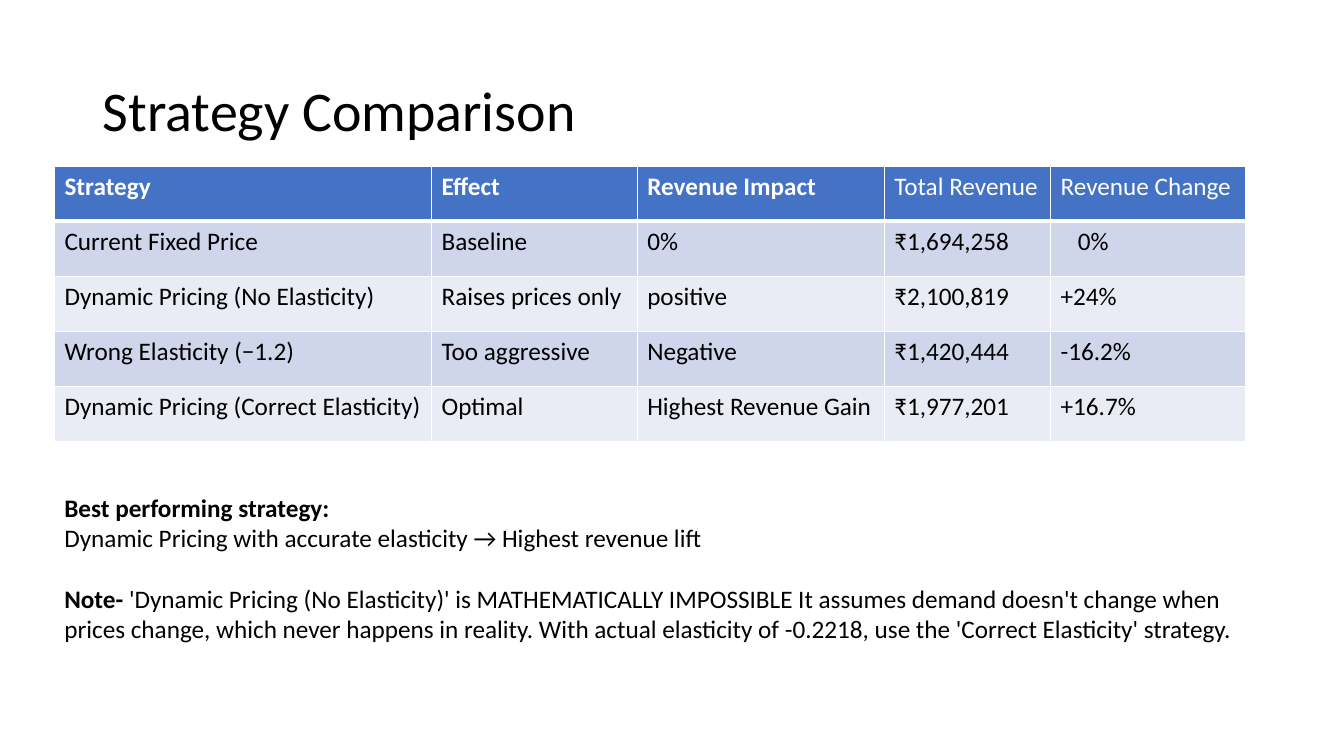
from dataclasses import dataclass

from lxml import etree
from pptx import Presentation
from pptx.dml.color import RGBColor
from pptx.enum.text import MSO_ANCHOR, MSO_AUTO_SIZE, PP_ALIGN
from pptx.oxml.ns import qn
from pptx.util import Inches, Pt

LEFT = PP_ALIGN.LEFT
MIDDLE = MSO_ANCHOR.MIDDLE
NO_AUTOFIT = MSO_AUTO_SIZE.NONE
TITLE_ONLY = 5


@dataclass(frozen=True)
class Theme:
    font: str = "Calibri"
    title_size: int = 40
    body_size: int = 18
    ink: str = "000000"
    paper: str = "FFFFFF"
    header: str = "4472C4"
    bands: tuple = ("CFD5EA", "E9EBF5")
    rule: int = 1
    header_rule: int = 3


def write(frame, paragraphs, *, font, size, color, spacing=None, gaps=()):
    frame.word_wrap = True
    for index, runs in enumerate(paragraphs):
        paragraph = frame.paragraphs[0] if index == 0 else frame.add_paragraph()
        paragraph.alignment = LEFT
        if spacing:
            paragraph.line_spacing = spacing
        if index in gaps:
            paragraph.space_before = Pt(gaps[index])
        for text, bold in runs:
            run = paragraph.add_run()
            run.text = text
            run.font.name = font
            run.font.size = Pt(size)
            run.font.bold = bold
            run.font.color.rgb = RGBColor.from_string(color)


def add_border(cell, side, width, color):
    line = etree.SubElement(cell._tc.get_or_add_tcPr(), qn(f"a:ln{side}"), w=str(Pt(width)))
    fill = etree.SubElement(line, qn("a:solidFill"))
    etree.SubElement(fill, qn("a:srgbClr"), val=color)


class StrategySlide:
    def __init__(self, presentation, theme):
        self.theme = theme
        self.slide = presentation.slides.add_slide(presentation.slide_layouts[TITLE_ONLY])

    def title(self, text, left, top, width, height):
        heading = self.slide.shapes.title
        heading.left, heading.top = Inches(left), Inches(top)
        heading.width, heading.height = Inches(width), Inches(height)
        frame = heading.text_frame
        frame.auto_size = NO_AUTOFIT
        frame.vertical_anchor = MIDDLE
        write(frame, [[(text, False)]], font=self.theme.font,
              size=self.theme.title_size, color=self.theme.ink, spacing=0.9)

    def table(self, rows, widths, bold_headings, left, top, height):
        theme = self.theme
        grid = self.slide.shapes.add_table(
            len(rows), len(widths), Inches(left), Inches(top),
            Inches(sum(widths)), Inches(height)).table
        for column, width in zip(grid.columns, widths):
            column.width = Inches(width)
        for row_index, values in enumerate(rows):
            is_header = row_index == 0
            background = theme.header if is_header else theme.bands[(row_index - 1) % 2]
            rules = {
                "L": theme.rule,
                "R": theme.rule,
                "T": theme.header_rule if row_index == 1 else theme.rule,
                "B": theme.header_rule if is_header else theme.rule,
            }
            for column_index, value in enumerate(values):
                cell = grid.cell(row_index, column_index)
                for side, width in rules.items():
                    add_border(cell, side, width, theme.paper)
                cell.fill.solid()
                cell.fill.fore_color.rgb = RGBColor.from_string(background)
                write(cell.text_frame,
                      [[(value, is_header and column_index < bold_headings)]],
                      font=theme.font, size=theme.body_size,
                      color=theme.paper if is_header else theme.ink)
        return grid

    def text(self, paragraphs, left, top, width, height, gaps):
        box = self.slide.shapes.add_textbox(
            Inches(left), Inches(top), Inches(width), Inches(height))
        write(box.text_frame, paragraphs, font=self.theme.font,
              size=self.theme.body_size, color=self.theme.ink, gaps=gaps)


STRATEGIES = [
    ("Strategy", "Effect", "Revenue Impact", "Total Revenue", "Revenue Change"),
    ("Current Fixed Price", "Baseline", "0%", "₹1,694,258", "0%"),
    ("Dynamic Pricing (No Elasticity)", "Raises prices only", "positive", "₹2,100,819", "+24%"),
    ("Wrong Elasticity (−1.2)", "Too aggressive", "Negative", "₹1,420,444", "-16.2%"),
    ("Dynamic Pricing (Correct Elasticity)", "Optimal", "Highest Revenue Gain",
     "₹1,977,201", "+16.7%"),
]
CONCLUSIONS = [
    [("Best performing strategy:", True)],
    [("Dynamic Pricing with accurate elasticity → Highest revenue lift", False)],
    [("Note- ", True),
     ("'Dynamic Pricing (No Elasticity)' is MATHEMATICALLY IMPOSSIBLE It assumes demand "
      "doesn't change when prices change, which never happens in reality. With actual "
      "elasticity of -0.2218, use the 'Correct Elasticity' strategy.", False)],
]


def main():
    """Build the strategy comparison slide."""
    presentation = Presentation()
    presentation.slide_width, presentation.slide_height = Inches(13.33), Inches(7.5)
    comparison = StrategySlide(presentation, Theme())
    comparison.title("Strategy Comparison", 0.92, 0.4, 11.5, 1.45)
    grid = comparison.table(STRATEGIES, (3.74, 2.04, 2.45, 1.65, 1.93), 3, 0.54, 1.65, 2.73)
    grid.cell(1, 4).margin_left = Inches(0.27)
    comparison.text(CONCLUSIONS, 0.54, 4.83, 11.94, 1.62, gaps={2: 22})
    presentation.save("out.pptx")


if __name__ == "__main__":
    main()
